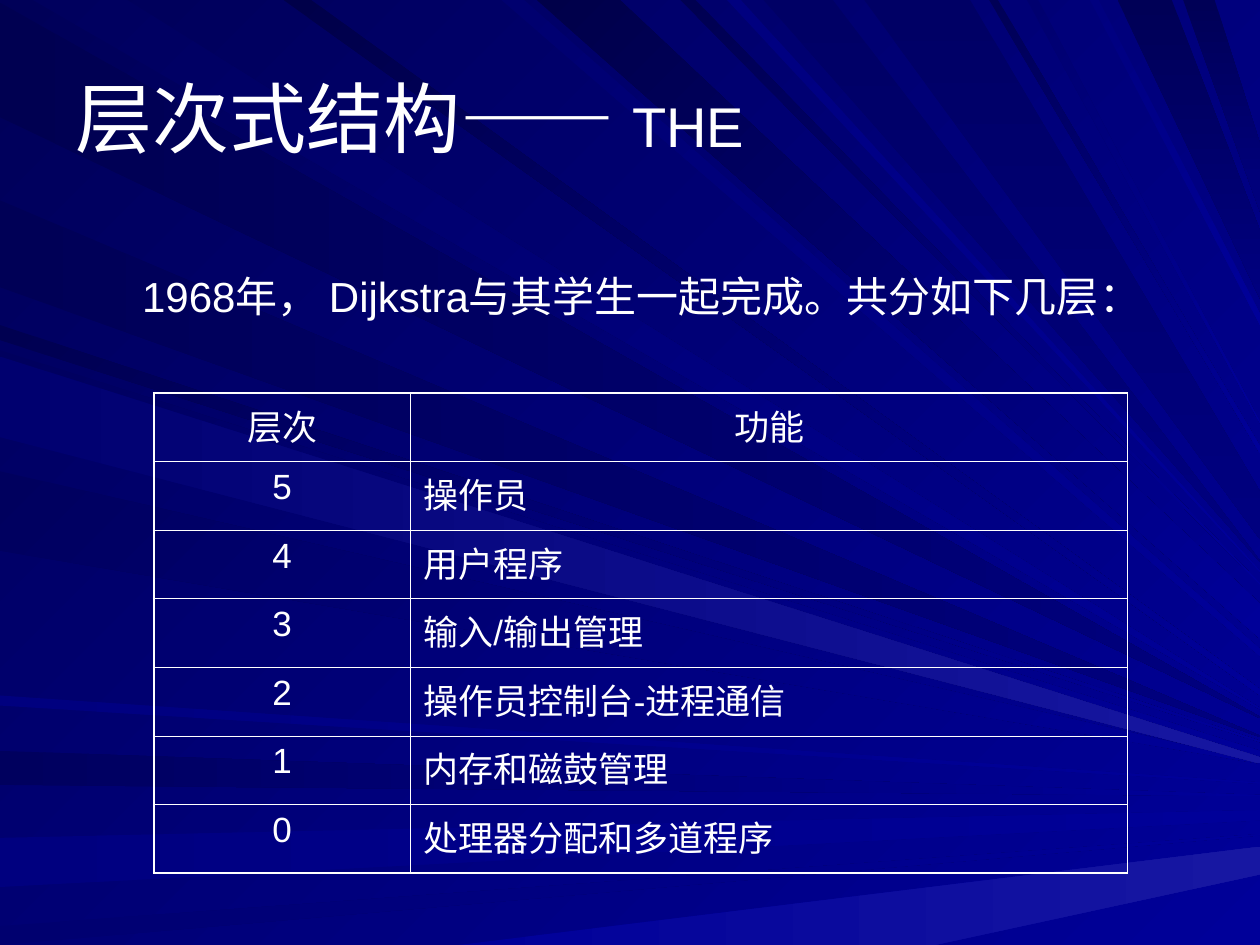
from dataclasses import dataclass
from enum import Enum

import pptx
import pptx.dml.color
import pptx.dml.fill
import pptx.enum.text
import pptx.oxml
import pptx.oxml.ns
import pptx.slide
import pptx.table
import pptx.text.text
import pptx.util

Inches = pptx.util.Inches
RGBColor = pptx.dml.color.RGBColor
PP_ALIGN = pptx.enum.text.PP_ALIGN

FONT_NAME = "Arial"
WHITE = RGBColor.from_string("FFFFFF")
BLACKEST = RGBColor.from_string("000049")
DARKEST = RGBColor.from_string("000051")
DARK = RGBColor.from_string("000056")
DUSK = RGBColor.from_string("00005E")
DEEP = RGBColor.from_string("000065")
MIDDLE = RGBColor.from_string("00006F")
CLEAR = RGBColor.from_string("00007F")
BRIGHT = RGBColor.from_string("000099")
GLOW = RGBColor.from_string("1717A2")
NIGHT = RGBColor.from_string("000058")

SLIDE_WIDTH = 10
SLIDE_HEIGHT = 7.5
OUTER_BORDER = 1.08
INNER_BORDER = 0.45


class Edge(Enum):
    LEFT = "left"
    TOP = "top"
    BOTTOM = "bottom"


class Shading(Enum):
    ACROSS = 0
    DIAGONAL = 45
    DOWN = 90


@dataclass(frozen=True)
class Ray:
    edge: Edge
    near: float
    far: float
    tip: float
    start: RGBColor
    end: RGBColor
    shading: Shading
    tip_width: float = 0.01

    def corners(self) -> list[tuple[float, float]]:
        across = {
            Edge.LEFT: lambda place: (0, place),
            Edge.TOP: lambda place: (place, 0),
            Edge.BOTTOM: lambda place: (place, SLIDE_HEIGHT),
        }[self.edge]
        tips = [(SLIDE_WIDTH, self.tip), (SLIDE_WIDTH, self.tip + self.tip_width)]
        if self.edge is not Edge.TOP:
            tips.reverse()
        return [across(self.near), across(self.far), *tips]


@dataclass(frozen=True)
class Phrase:
    wording: str
    size: int


@dataclass(frozen=True)
class Layer:
    level: str
    duty: str


RAYS = (
    Ray(Edge.LEFT, 0.02, 0.93, 5.69, DARKEST, CLEAR, Shading.ACROSS),
    Ray(Edge.TOP, 0.26, 1.01, 5.62, DUSK, BRIGHT, Shading.DIAGONAL),
    Ray(Edge.LEFT, 5.96, 6.23, 6.31, DUSK, BRIGHT, Shading.ACROSS),
    Ray(Edge.LEFT, 6.65, 7.04, 6.43, CLEAR, BRIGHT, Shading.ACROSS, 0.08),
    Ray(Edge.LEFT, 7.35, 7.5, 6.62, MIDDLE, BRIGHT, Shading.ACROSS),
    Ray(Edge.BOTTOM, 3.64, 7.42, 6.72, BRIGHT, GLOW, Shading.ACROSS, 0.22),
    Ray(Edge.LEFT, 2.58, 2.7, 5.88, DARKEST, BRIGHT, Shading.DIAGONAL),
    Ray(Edge.LEFT, 1.59, 2.28, 5.84, DARK, CLEAR, Shading.ACROSS),
    Ray(Edge.TOP, 3.98, 4.16, 5.15, MIDDLE, BRIGHT, Shading.DIAGONAL, 0.06),
    Ray(Edge.TOP, 4.26, 4.92, 4.79, BLACKEST, BRIGHT, Shading.DIAGONAL, 0.28),
    Ray(Edge.TOP, 5.4, 5.52, 4.63, DARKEST, BRIGHT, Shading.DIAGONAL),
    Ray(Edge.TOP, 6.06, 6.61, 4.45, DEEP, CLEAR, Shading.DOWN),
    Ray(Edge.TOP, 8.87, 9.3, 1.83, DARK, CLEAR, Shading.DOWN, 0.54),
    Ray(Edge.TOP, 9.39, 9.64, 1.14, DARK, CLEAR, Shading.DOWN, 0.54),
    Ray(Edge.LEFT, 2.78, 3.42, 5.96, DUSK, BRIGHT, Shading.DIAGONAL, 0.06),
    Ray(Edge.LEFT, 3.74, 4.37, 6.05, DUSK, BRIGHT, Shading.DIAGONAL),
    Ray(Edge.LEFT, 5.52, 5.6, 6.21, CLEAR, BRIGHT, Shading.ACROSS),
    Ray(Edge.TOP, 2.25, 2.47, 5.47, BLACKEST, BRIGHT, Shading.DIAGONAL, 0.05),
    Ray(Edge.TOP, 5.77, 5.88, 4.53, CLEAR, BRIGHT, Shading.DIAGONAL),
    Ray(Edge.TOP, 6.86, 7.7, 3.9, DEEP, CLEAR, Shading.DOWN, 0.38),
    Ray(Edge.TOP, 7.85, 7.92, 3.54, DARK, BRIGHT, Shading.DIAGONAL, 0.06),
    Ray(Edge.TOP, 8.15, 8.24, 3.35, MIDDLE, BRIGHT, Shading.DIAGONAL),
    Ray(Edge.TOP, 8.65, 8.72, 2.49, CLEAR, BRIGHT, Shading.DIAGONAL, 0.09),
    Ray(Edge.LEFT, 2.83, 3.47, 6.01, MIDDLE, GLOW, Shading.ACROSS, 0.05),
)

LAYERS = (
    Layer("层次", "功能"),
    Layer("5", "操作员"),
    Layer("4", "用户程序"),
    Layer("3", "输入/输出管理"),
    Layer("2", "操作员控制台-进程通信"),
    Layer("1", "内存和磁鼓管理"),
    Layer("0", "处理器分配和多道程序"),
)


def paint(fill: pptx.dml.fill.FillFormat, start: RGBColor, end: RGBColor, shading: Shading) -> None:
    fill.gradient()
    fill.gradient_angle = -shading.value % 360
    for stop, color in zip(fill.gradient_stops, (start, end)):
        stop.color.rgb = color


def draw_ray(slide: pptx.slide.Slide, ray: Ray) -> None:
    first, *others = [(Inches(x), Inches(y)) for x, y in ray.corners()]
    builder = slide.shapes.build_freeform(*first)
    builder.add_line_segments(others, close=True)
    beam = builder.convert_to_shape()
    beam.shadow.inherit = False
    beam.line.fill.background()
    paint(beam.fill, ray.start, ray.end, ray.shading)


def write(frame: pptx.text.text.TextFrame, *phrases: Phrase, align: PP_ALIGN = PP_ALIGN.LEFT) -> None:
    paragraph = frame.paragraphs[0]
    paragraph.alignment = align
    for phrase in phrases:
        run = paragraph.add_run()
        run.text = phrase.wording
        run.font.name = FONT_NAME
        run.font.size = pptx.util.Pt(phrase.size)
        run.font.color.rgb = WHITE


def set_borders(cell: pptx.table._Cell, widths: dict[str, float]) -> None:
    properties = cell._tc.get_or_add_tcPr()
    for position, (side, width) in enumerate(widths.items()):
        border = pptx.oxml.parse_xml(
            f'<a:ln{side} {pptx.oxml.ns.nsdecls("a")} w="{pptx.util.Pt(width)}">'
            f'<a:solidFill><a:srgbClr val="{WHITE}"/></a:solidFill></a:ln{side}>'
        )
        properties.insert(position, border)


def draw_layers(slide: pptx.slide.Slide) -> None:
    column_widths = (2.04, 5.69)
    height = 3.81
    last_row, last_column = len(LAYERS) - 1, len(column_widths) - 1
    table = slide.shapes.add_table(
        len(LAYERS), len(column_widths), Inches(1.22), Inches(3.12), Inches(sum(column_widths)), Inches(height)
    ).table
    table.first_row = False
    table.horz_banding = False
    for column, width in zip(table.columns, column_widths):
        column.width = Inches(width)
    for r, layer in enumerate(LAYERS):
        table.rows[r].height = Inches(height / len(LAYERS))
        for c, wording in enumerate((layer.level, layer.duty)):
            cell = table.cell(r, c)
            cell.fill.background()
            align = PP_ALIGN.CENTER if r == 0 or c == 0 else PP_ALIGN.LEFT
            write(cell.text_frame, Phrase(wording, 20), align=align)
            on_edge = {"L": c == 0, "R": c == last_column, "T": r == 0, "B": r == last_row}
            set_borders(cell, {side: OUTER_BORDER if edge else INNER_BORDER for side, edge in on_edge.items()})


def main() -> None:
    presentation = pptx.Presentation()
    presentation.slide_width = Inches(SLIDE_WIDTH)
    presentation.slide_height = Inches(SLIDE_HEIGHT)
    slide = presentation.slides.add_slide(presentation.slide_layouts[6])
    paint(slide.background.fill, NIGHT, BRIGHT, Shading.DIAGONAL)
    for ray in RAYS:
        draw_ray(slide, ray)

    heading = slide.shapes.add_textbox(Inches(0.5), Inches(0.3), Inches(9), Inches(1.25)).text_frame
    heading.word_wrap = True
    heading.vertical_anchor = pptx.enum.text.MSO_ANCHOR.MIDDLE
    write(heading, Phrase("层次式结构—— ", 44), Phrase("THE", 32))

    draw_layers(slide)

    history = slide.shapes.add_textbox(Inches(1.03), Inches(2.1), Inches(8.36), Inches(0.5)).text_frame
    history.word_wrap = False
    history.auto_size = pptx.enum.text.MSO_AUTO_SIZE.SHAPE_TO_FIT_TEXT
    write(history, Phrase("1968年， Dijkstra与其学生一起完成。共分如下几层：", 24))
    presentation.save("out.pptx")


if __name__ == "__main__":
    main()
